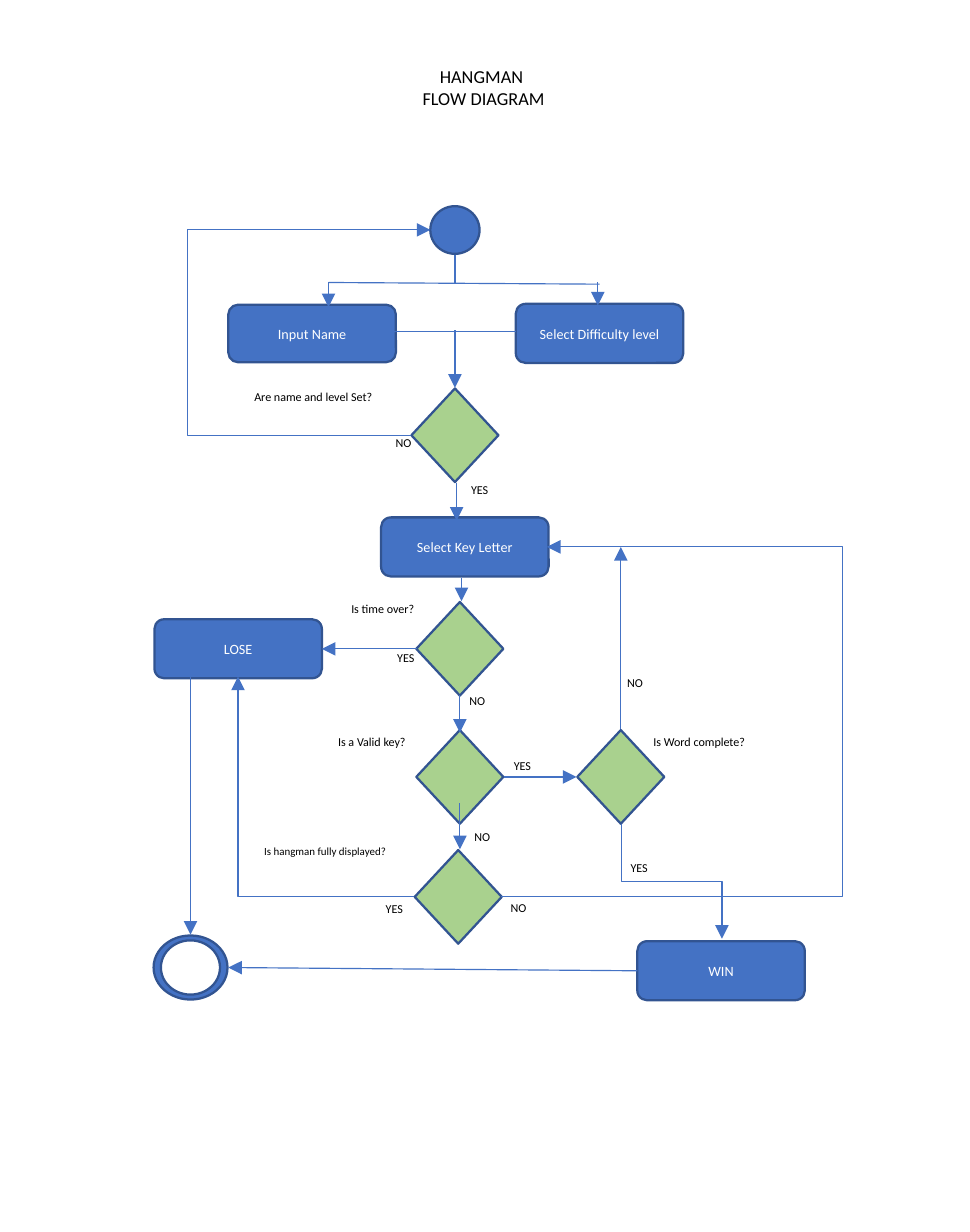
"""Build the Hangman flow diagram slide."""
from lxml import etree
from pptx import Presentation
from pptx.dml.color import RGBColor
from pptx.enum.shapes import MSO_CONNECTOR, MSO_SHAPE
from pptx.enum.text import MSO_ANCHOR, MSO_AUTO_SIZE, PP_ALIGN
from pptx.oxml.ns import qn
from pptx.util import Cm, Inches, Pt

BOX, DIAMOND, OVAL = MSO_SHAPE.ROUNDED_RECTANGLE, MSO_SHAPE.DIAMOND, MSO_SHAPE.OVAL
STRAIGHT, ELBOW = MSO_CONNECTOR.STRAIGHT, MSO_CONNECTOR.ELBOW
CENTER, LEFT_ALIGN = PP_ALIGN.CENTER, PP_ALIGN.LEFT
TOP, MIDDLE = MSO_ANCHOR.TOP, MSO_ANCHOR.MIDDLE
NO_FIT = MSO_AUTO_SIZE.NONE
COLORS = {"blue": "4472C4", "navy": "325491", "green": "A9D18E",
          "white": "FFFFFF", "black": "000000"}
FONT = "Calibri"
BOX_SIZE = (1.02, 0.36)
DIAMOND_SIZE = (0.53, 0.57)

LEFT, SPINE, KEY, RIGHT, WIN = 1.45, 2.77, 2.8, 3.78, 4.39
END, LOOP_LEFT, LOOP_RIGHT = 1.16, 1.14, 5.13
START_ROW, INPUT_ROW, SET_ROW, SELECT_ROW = 1.4, 2.03, 2.65, 3.33
TIME_ROW, VALID_ROW, HANGED_ROW, END_ROW = 3.95, 4.73, 5.46, 5.89


def format_text(frame, size, color, align):
    for para in frame.paragraphs:
        para.alignment = align
        for span in para.runs:
            span.font.name = FONT
            span.font.size = Pt(size)
            span.font.color.rgb = RGBColor.from_string(COLORS[color])


def add_link(kind, start, end, arrow=True):
    link = page.shapes.add_connector(kind, *map(Inches, start + end))
    link.line.color.rgb = RGBColor.from_string(COLORS["blue"])
    link.line.width = Pt(0.5)
    if arrow:
        outline = link._element.spPr.find(qn("a:ln"))
        etree.SubElement(outline, qn("a:tailEnd"), type="triangle")
    etree.SubElement(link._element.spPr, qn("a:effectLst"))
    return link


deck = Presentation()
deck.slide_width, deck.slide_height = Cm(15), Inches(7.5)
page = deck.slides.add_slide(deck.slide_layouts[5])

title = page.shapes.title
title.left, title.top, title.width, title.height = map(Inches, (2.08, 0.35, 1.73, 0.58))
title.text_frame.text = "HANGMAN \nFLOW DIAGRAM"
title.text_frame.auto_size = NO_FIT
title.text_frame.vertical_anchor = TOP
format_text(title.text_frame, 8, "black", CENTER)

nodes = [
    (OVAL, SPINE, START_ROW, (0.3, 0.29), "blue", ""),
    (BOX, 1.9, INPUT_ROW, (1.02, 0.35), "blue", "Input Name"),
    (BOX, 3.65, INPUT_ROW, BOX_SIZE, "blue", "Select Difficulty level"),
    (DIAMOND, SPINE, SET_ROW, DIAMOND_SIZE, "green", ""),
    (BOX, 2.83, SELECT_ROW, BOX_SIZE, "blue", "Select Key Letter"),
    (DIAMOND, KEY, TIME_ROW, DIAMOND_SIZE, "green", ""),
    (BOX, LEFT, TIME_ROW, BOX_SIZE, "blue", "LOSE"),
    (DIAMOND, KEY, VALID_ROW, DIAMOND_SIZE, "green", ""),
    (DIAMOND, RIGHT, VALID_ROW, DIAMOND_SIZE, "green", ""),
    (DIAMOND, 2.79, HANGED_ROW, DIAMOND_SIZE, "green", ""),
    (BOX, WIN, 5.91, BOX_SIZE, "blue", "WIN"),
    (OVAL, END, END_ROW, (0.45, 0.39), "blue", ""),
    (OVAL, END, END_ROW, (0.36, 0.33), "white", ""),
]
for kind, column, row, (width, height), fill, text in nodes:
    node = page.shapes.add_shape(kind, Inches(column - width / 2), Inches(row - height / 2),
                                 Inches(width), Inches(height))
    node.shadow.inherit = False
    node.fill.solid()
    node.fill.fore_color.rgb = RGBColor.from_string(COLORS[fill])
    node.line.color.rgb = RGBColor.from_string(COLORS["navy"])
    node.line.width = Pt(1)
    if text:
        frame = node.text_frame
        frame.text = text
        frame.margin_left = frame.margin_right = 0
        frame.vertical_anchor = MIDDLE
        format_text(frame, 6.2, "white", CENTER)

plain_lines = [
    ((SPINE, 1.55), (SPINE, 1.73)),
    ((2, 1.72), (3.65, 1.73)),
    ((2.4, 2.02), (3.14, 2.02)),
]
for start, end in plain_lines:
    add_link(STRAIGHT, start, end, arrow=False)

arrows = [
    ((2, 1.72), (2, 1.87)),
    ((3.64, 1.72), (3.64, 1.86)),
    ((SPINE, 2.01), (SPINE, 2.36)),
    ((2.78, 2.94), (2.78, 3.17)),
    ((2.81, 3.52), (2.81, 3.66)),
    ((2.54, TIME_ROW), (1.96, TIME_ROW)),
    ((KEY, 4.23), (KEY, 4.46)),
    ((KEY, 4.89), (KEY, 5.17)),
    ((3.07, VALID_ROW), (3.51, VALID_ROW)),
    ((RIGHT, 4.44), (RIGHT, SELECT_ROW)),
    ((3.88, 5.91), (1.39, END_ROW)),
    ((END, 4.12), (END, 5.69)),
]
for start, end in arrows:
    add_link(STRAIGHT, start, end)

loops = [
    ((2.5, SET_ROW), (2.62, START_ROW), LOOP_LEFT),
    ((3.05, HANGED_ROW), (3.33, SELECT_ROW), LOOP_RIGHT),
]
for start, end, turn in loops:
    loop = add_link(ELBOW, start, end)
    bend = round((turn - start[0]) / (end[0] - start[0]) * 100000)
    guides = loop._element.spPr.find(qn("a:prstGeom")).find(qn("a:avLst"))
    etree.SubElement(guides, qn("a:gd"), name="adj1", fmla=f"val {bend}")

hanged = add_link(ELBOW, (2.52, HANGED_ROW), (LEFT, 4.12))
hanged._element.spPr.find(qn("a:prstGeom")).set("prst", "bentConnector2")

complete = add_link(ELBOW, (4.44, 5.06), (3.74, 5.67))
complete._element.spPr.find(qn("a:xfrm")).set("rot", str(270 * 60000))

labels = [
    ("Are name and level Set?", 1.45, 2.32, 1.93, 5.3),
    ("Is time over?", 2.04, 3.61, 0.81, 5.3),
    ("Is a Valid key?", 1.96, 4.42, 0.81, 5.3),
    ("Is Word complete?", 3.88, 4.42, 1.02, 5.3),
    ("Is hangman fully displayed?", 1.51, 5.09, 1.4, 4.8),
]
answers = {
    "YES": [(2.77, 2.89), (2.32, 3.91), (3.03, 4.57), (3.74, 5.19), (2.25, 5.44)],
    "NO": [(2.31, 2.6), (2.76, 4.17), (3.72, 4.06), (2.79, 5), (3.01, 5.43)],
}
for answer, places in answers.items():
    labels += [(answer, left, top, 0.32, 5.3) for left, top in places]
for text, left, top, width, size in labels:
    label = page.shapes.add_textbox(*map(Inches, (left, top, width, 0.44)))
    label.text_frame.word_wrap = True
    label.text_frame.margin_right = 0
    label.text_frame.text = text
    format_text(label.text_frame, size, "black", LEFT_ALIGN)

deck.save("out.pptx")
